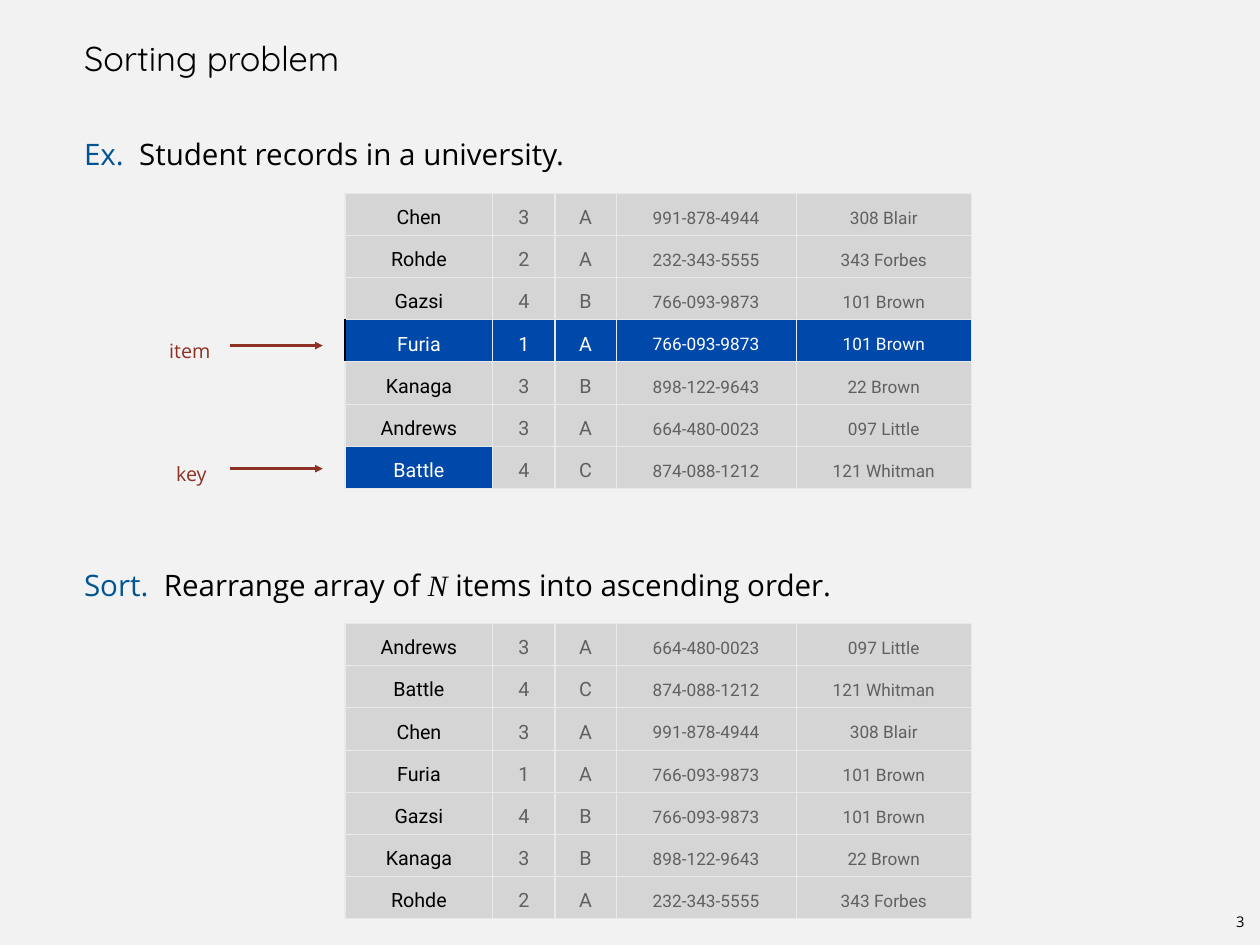
from dataclasses import dataclass

from lxml.etree import SubElement
from pptx import Presentation
from pptx.dml.color import RGBColor
from pptx.enum.shapes import MSO_CONNECTOR
from pptx.enum.text import MSO_ANCHOR, PP_ALIGN
from pptx.oxml.ns import qn
from pptx.util import Cm, Pt


@dataclass(frozen=True)
class Theme:
    background: str = "F2F2F2"
    ink: str = "000000"
    lead: str = "005493"
    callout: str = "8D3124"
    cell: str = "D5D5D5"
    highlight: str = "0048AA"
    highlight_ink: str = "FFFFFF"
    detail: str = "606060"
    rule: str = "E7EAEB"
    title_font: str = "Quicksand"
    body_font: str = "Open Sans"
    table_font: str = "Roboto"
    math_font: str = "Times New Roman"
    title_size: int = 28
    body_size: int = 24
    label_size: int = 16
    detail_size: int = 14
    page_size: int = 12


THEME = Theme()
TEXT_LEFT = 2.26
TEXT_WIDTH = 31.6
TEXT_INSET = 0.15
TABLE_LEFT = 9.89
COLUMN_WIDTHS = (4.24, 1.78, 1.75, 5.16, 5.03)
ROW_HEIGHT = 1.21
RECORDS = [
    ("Chen", "3", "A", "991-878-4944", "308 Blair"),
    ("Rohde", "2", "A", "232-343-5555", "343 Forbes"),
    ("Gazsi", "4", "B", "766-093-9873", "101 Brown"),
    ("Furia", "1", "A", "766-093-9873", "101 Brown"),
    ("Kanaga", "3", "B", "898-122-9643", "22 Brown"),
    ("Andrews", "3", "A", "664-480-0023", "097 Little"),
    ("Battle", "4", "C", "874-088-1212", "121 Whitman"),
]
ITEM_ROW = 3
KEY_ROW = 6
ITEM_CELLS = {(ITEM_ROW, column) for column in range(len(COLUMN_WIDTHS))}
KEY_CELL = (KEY_ROW, 0)


def color(value):
    return RGBColor.from_string(value)


def style_font(font, name, size, ink):
    font.name = name
    font.size = Pt(size)
    font.color.rgb = color(ink)


def set_insets(frame, left=TEXT_INSET):
    frame.margin_left = Cm(left)
    frame.margin_right = frame.margin_top = frame.margin_bottom = 0


def add_title(slide, wording):
    title = slide.shapes.title
    title.left, title.top = Cm(TEXT_LEFT), Cm(0)
    title.width, title.height = Cm(TEXT_WIDTH), Cm(2.26)
    frame = title.text_frame
    frame.text = wording
    frame.vertical_anchor = MSO_ANCHOR.BOTTOM
    set_insets(frame)
    heading = frame.paragraphs[0]
    heading.alignment = PP_ALIGN.LEFT
    style_font(heading.font, THEME.title_font, THEME.title_size, THEME.ink)


def add_text(slide, left, top, width, height):
    frame = slide.shapes.add_textbox(Cm(left), Cm(top), Cm(width), Cm(height)).text_frame
    frame.word_wrap = True
    set_insets(frame)
    return frame.paragraphs[0]


def add_statement(slide, top, lead, parts):
    statement = add_text(slide, TEXT_LEFT, top, TEXT_WIDTH, 1.4)
    statement.line_spacing = Pt(39)
    style_font(statement.font, THEME.body_font, THEME.body_size, THEME.ink)
    opening = statement.add_run()
    opening.text = lead + "  "
    opening.font.color.rgb = color(THEME.lead)
    for wording, is_variable in parts:
        part = statement.add_run()
        part.text = wording
        if is_variable:
            part.font.name = THEME.math_font
            part.font.italic = True


def add_callout(slide, wording, left, top):
    label = add_text(slide, left, top, 1.7, 0.91)
    label.text = wording
    label.line_spacing = 1.5
    style_font(label.font, THEME.body_font, THEME.label_size, THEME.callout)
    arrow_y = Cm(top + 0.54)
    arrow = slide.shapes.add_connector(
        MSO_CONNECTOR.STRAIGHT, Cm(6.6), arrow_y, Cm(9.25), arrow_y
    )
    arrow.line.color.rgb = color(THEME.callout)
    arrow.line.width = Pt(2)
    SubElement(arrow.line._get_or_add_ln(), qn("a:tailEnd"), type="triangle")
    SubElement(arrow._element.spPr, qn("a:effectLst"))


def add_borders(cell, left_ink):
    properties = cell._tc.get_or_add_tcPr()
    for side in "LRTB":
        ink = left_ink if side == "L" else THEME.rule
        border = SubElement(properties, qn(f"a:ln{side}"), w=str(Pt(1)))
        fill = SubElement(border, qn("a:solidFill"))
        SubElement(fill, qn("a:srgbClr"), val=ink)


def fill_cell(cell, wording, column, highlighted, left_ink):
    add_borders(cell, left_ink)
    cell.fill.solid()
    cell.fill.fore_color.rgb = color(THEME.highlight if highlighted else THEME.cell)
    cell.vertical_anchor = MSO_ANCHOR.MIDDLE
    cell.margin_left = cell.margin_right = Cm(0.15)
    cell.margin_top = cell.margin_bottom = Cm(0.15)
    entry = cell.text_frame.paragraphs[0]
    entry.text = wording
    entry.alignment = PP_ALIGN.CENTER
    is_contact = column > 2
    entry.line_spacing = 1.4 if is_contact else 1.3
    size = THEME.detail_size if is_contact else THEME.label_size
    ink = THEME.ink if column == 0 else THEME.detail
    style_font(entry.font, THEME.table_font, size, THEME.highlight_ink if highlighted else ink)


def add_records(slide, top, records, highlights=frozenset()):
    table = slide.shapes.add_table(
        len(records), len(COLUMN_WIDTHS), Cm(TABLE_LEFT), Cm(top),
        Cm(sum(COLUMN_WIDTHS)), Cm(ROW_HEIGHT * len(records)),
    ).table
    table.first_row = table.horz_banding = False
    for column, width in zip(table.columns, COLUMN_WIDTHS):
        column.width = Cm(width)
    for row, record in enumerate(records):
        table.rows[row].height = Cm(ROW_HEIGHT)
        for column, wording in enumerate(record):
            highlighted = (row, column) in highlights
            starts_item = highlighted and (row, column) == (ITEM_ROW, 0)
            left_ink = THEME.ink if starts_item else THEME.rule
            fill_cell(table.cell(row, column), wording, column, highlighted, left_ink)


def add_page_number(slide, number):
    page = add_text(slide, 35.05, 26.19, 0.86, 0.6)
    page.text = number
    page.alignment = PP_ALIGN.CENTER
    style_font(page.font, THEME.body_font, THEME.page_size, THEME.ink)


def main():
    presentation = Presentation()
    presentation.slide_width, presentation.slide_height = Cm(36.12), Cm(27.1)
    slide = presentation.slides.add_slide(presentation.slide_layouts[5])
    slide.background.fill.solid()
    slide.background.fill.fore_color.rgb = color(THEME.background)
    add_title(slide, "Sorting problem")
    add_statement(slide, 3.53, "Ex.", [("Student records in a university.", False)])
    add_records(slide, 5.54, RECORDS, ITEM_CELLS | {KEY_CELL})
    add_callout(slide, "item", 4.7, 9.37)
    add_callout(slide, "key", 4.9, 12.9)
    add_statement(slide, 15.91, "Sort.", [
        ("Rearrange array of ", False),
        ("N", True),
        (" items into ascending order.", False),
    ])
    add_records(slide, 17.88, sorted(RECORDS))
    add_page_number(slide, "3")
    presentation.save("out.pptx")


if __name__ == "__main__":
    main()
